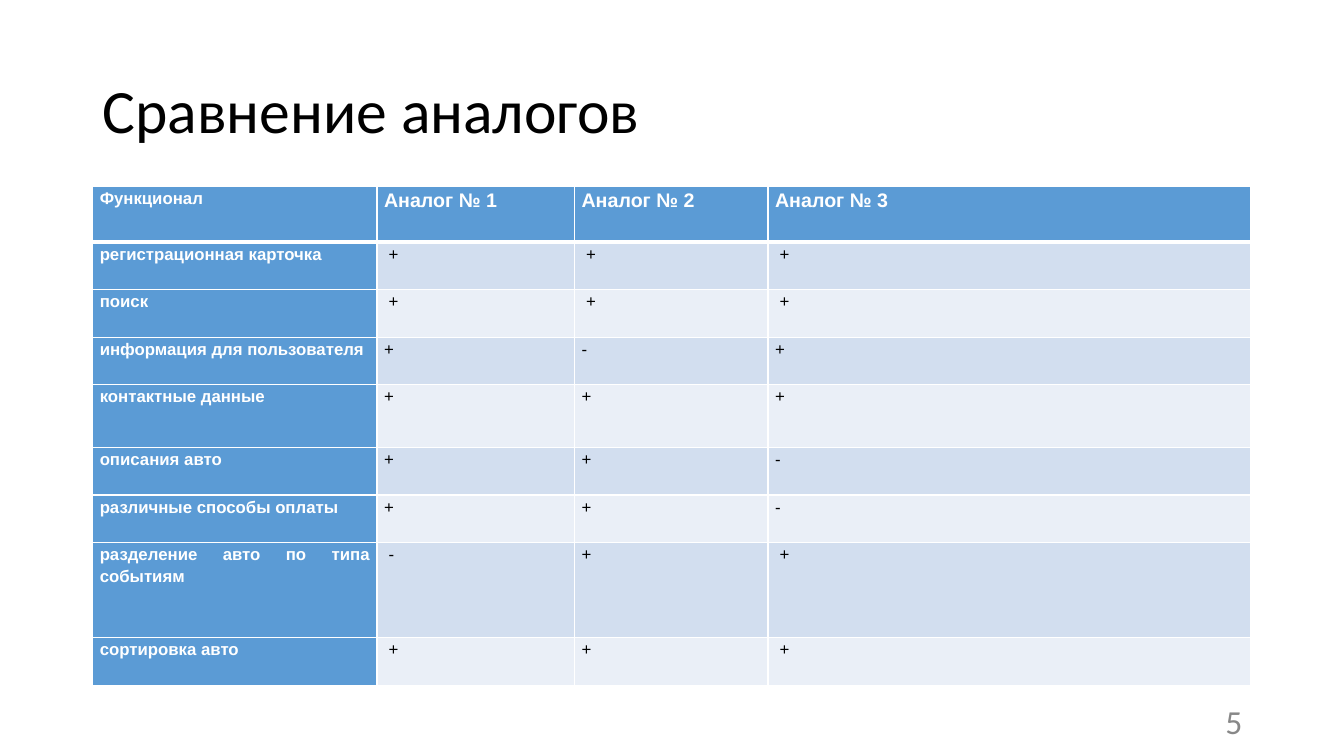
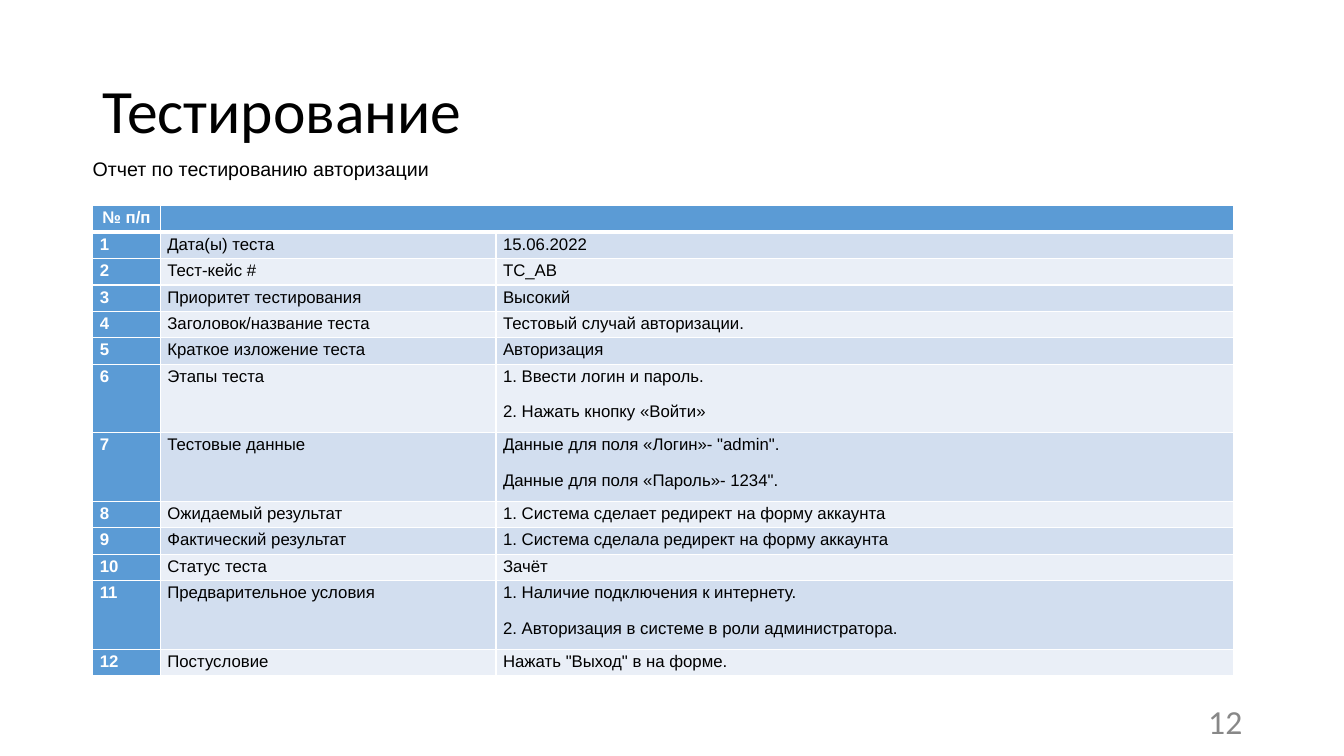
from dataclasses import dataclass, field

from lxml.etree import SubElement
from pptx import Presentation
from pptx.dml.color import RGBColor
from pptx.enum.text import MSO_ANCHOR, PP_ALIGN
from pptx.oxml.ns import qn
from pptx.slide import Slide
from pptx.util import Inches, Pt

COLORS = {
    "accent": "5B9BD5",
    "band": "D2DEEF",
    "band_light": "EAEFF7",
    "white": "FFFFFF",
    "black": "000000",
    "gray": "888888",
}
W, H = Inches(13.33), Inches(7.5)
LEFT = 6.9  # left margin, percent of the slide width
TITLE_FONT, BODY_FONT = "Calibri", "Arial"


@dataclass(frozen=True)
class TextStyle:
    size: int
    font: str = BODY_FONT
    color: str = "black"
    bold: bool = False
    align: PP_ALIGN = PP_ALIGN.LEFT
    line: float = 1.0
    after: int = 0


@dataclass(frozen=True)
class Box:
    """Position and size as percentages of the slide."""
    x: float
    y: float
    w: float
    h: float


@dataclass(frozen=True)
class TableSpec:
    """Column widths and row heights are percentages of the slide."""
    top: float
    cols: list[float]
    row: float
    rows: list[list[str]]
    tall: dict[int, float]
    align: PP_ALIGN = PP_ALIGN.LEFT
    corner_align: PP_ALIGN = PP_ALIGN.LEFT
    header_size: int = 12
    merges: list[tuple[int, int, int]] = field(default_factory=list)


TITLE = TextStyle(44, TITLE_FONT, line=0.9)
NUMBER = TextStyle(24, TITLE_FONT, "gray", align=PP_ALIGN.RIGHT)
CAPTION = TextStyle(14)
TITLE_BOX = Box(LEFT, 5.33, 86.27, 19.33)
NUMBER_BOX = Box(70.67, 92.67, 22.5, 5.33)
CAPTION_BOX = Box(6.15, 20.13, 26.86, 4.53)

ANALOGS = TableSpec(
    top=24.67,
    cols=[21.15, 14.7, 14.4, 35.92],
    row=6.3,
    tall={0: 7.33, 4: 8.27, 7: 12.6},
    align=PP_ALIGN.JUSTIFY,
    corner_align=PP_ALIGN.JUSTIFY,
    header_size=14,
    rows=[
        ["Функционал", "Аналог № 1", "Аналог № 2", "Аналог № 3"],
        ["регистрационная карточка", " +", " +", " +"],
        ["поиск", " +", " +", " +"],
        ["информация для пользователя", "+", "-", "+"],
        ["контактные данные", "+", "+", "+"],
        ["описания авто", "+", "+", "-"],
        ["различные способы оплаты", "+", "+", "-"],
        ["разделение авто по типа событиям", " -", "+", " +"],
        ["сортировка авто", " +", "+", " +"],
    ],
)

TEST_STEPS = [
    ["Дата(ы) теста", "15.06.2022"],
    ["Тест-кейс #", "ТС_АВ"],
    ["Приоритет тестирования", "Высокий"],
    ["Заголовок/название теста", "Тестовый случай авторизации."],
    ["Краткое изложение теста", "Авторизация"],
    ["Этапы теста", "1. Ввести логин и пароль.\n2. Нажать кнопку «Войти»"],
    ["Тестовые данные",
     'Данные для поля «Логин»- "admin".\nДанные для поля «Пароль»- 1234".'],
    ["Ожидаемый результат", "1. Система сделает редирект на форму аккаунта"],
    ["Фактический результат", "1. Система сделала редирект на форму аккаунта"],
    ["Статус теста", "Зачёт"],
    ["Предварительное условия",
     "1. Наличие подключения к интернету.\n"
     "2. Авторизация в системе в роли администратора."],
    ["Постусловие", 'Нажать "Выход" в на форме.'],
]
TESTING = TableSpec(
    top=27.2,
    cols=[5.03, 24.98, 54.91],
    row=3.5,
    tall={6: 9.07, 7: 9.07, 11: 9.07},
    corner_align=PP_ALIGN.CENTER,
    rows=[["№ п/п", "", ""]]
    + [[str(n), *step] for n, step in enumerate(TEST_STEPS, 1)],
    merges=[(0, 1, 2)],
)


def px(share: float) -> int:
    return round(W * share / 100)


def py(share: float) -> int:
    return round(H * share / 100)


def rgb(name: str) -> RGBColor:
    return RGBColor.from_string(COLORS[name])


def write(tf, text: str, style: TextStyle) -> None:
    tf.text = text
    for p in tf.paragraphs:
        p.alignment = style.align
        p.line_spacing = style.line
        p.space_after = Pt(style.after)
        if not p.runs:
            # An empty cell must not grow its row to the default size
            p._p.get_or_add_endParaRPr().set("sz", str(style.size * 100))
        for r in p.runs:
            r.font.size = Pt(style.size)
            r.font.name = style.font
            r.font.bold = style.bold
            r.font.color.rgb = rgb(style.color)


def add_text(slide: Slide, box: Box, text: str, style: TextStyle,
             anchor: MSO_ANCHOR = MSO_ANCHOR.MIDDLE, wrap: bool = True) -> None:
    sp = slide.shapes.add_textbox(px(box.x), py(box.y), px(box.w), py(box.h))
    tf = sp.text_frame
    tf.word_wrap = wrap
    tf.vertical_anchor = anchor
    write(tf, text, style)


def add_borders(cell, top: int, bottom: int) -> None:
    """White cell borders; widths in points. Call before the fill is set."""
    tc_pr = cell._tc.get_or_add_tcPr()
    for side, width in (("L", 1), ("R", 1), ("T", top), ("B", bottom)):
        ln = SubElement(tc_pr, qn(f"a:ln{side}"), w=str(Pt(width)))
        fill = SubElement(ln, qn("a:solidFill"))
        SubElement(fill, qn("a:srgbClr"), val=COLORS["white"])


def cell_style(spec: TableSpec, row: int, col: int) -> TextStyle:
    head = row == 0 or col == 0
    return TextStyle(
        size=spec.header_size if row == 0 and col > 0 else 12,
        color="white" if head else "black",
        bold=head,
        align=spec.corner_align if row == col == 0 else spec.align,
        line=1.15,
        after=10,
    )


def cell_fill(row: int, col: int) -> str:
    if row == 0 or col == 0:
        return "accent"
    return "band" if row % 2 else "band_light"


def add_grid(slide: Slide, spec: TableSpec) -> None:
    heights = [spec.tall.get(i, spec.row) for i in range(len(spec.rows))]
    table = slide.shapes.add_table(
        len(spec.rows), len(spec.cols), px(LEFT), py(spec.top),
        px(sum(spec.cols)), py(sum(heights))).table
    for column, width in zip(table.columns, spec.cols):
        column.width = px(width)
    for row, height in zip(table.rows, heights):
        row.height = py(height)
    for i, texts in enumerate(spec.rows):
        for j, text in enumerate(texts):
            cell = table.cell(i, j)
            cell.margin_left = cell.margin_right = Inches(0.07)
            cell.margin_top = cell.margin_bottom = 0
            add_borders(cell, top=3 if i == 1 else 1, bottom=3 if i == 0 else 1)
            cell.fill.solid()
            cell.fill.fore_color.rgb = rgb(cell_fill(i, j))
            write(cell.text_frame, text, cell_style(spec, i, j))
    for row, first, last in spec.merges:
        table.cell(row, first).merge(table.cell(row, last))


def add_table_slide(prs, title: str, number: int, spec: TableSpec) -> Slide:
    slide = prs.slides.add_slide(prs.slide_layouts[6])
    add_text(slide, TITLE_BOX, title, TITLE)
    add_text(slide, NUMBER_BOX, str(number), NUMBER)
    add_grid(slide, spec)
    return slide


def main() -> None:
    prs = Presentation()
    prs.slide_width, prs.slide_height = W, H
    add_table_slide(prs, "Сравнение аналогов", 5, ANALOGS)
    testing = add_table_slide(prs, "Тестирование", 12, TESTING)
    add_text(testing, CAPTION_BOX, "Отчет по тестированию авторизации", CAPTION,
             MSO_ANCHOR.TOP, wrap=False)
    prs.save("out.pptx")


if __name__ == "__main__":
    main()
